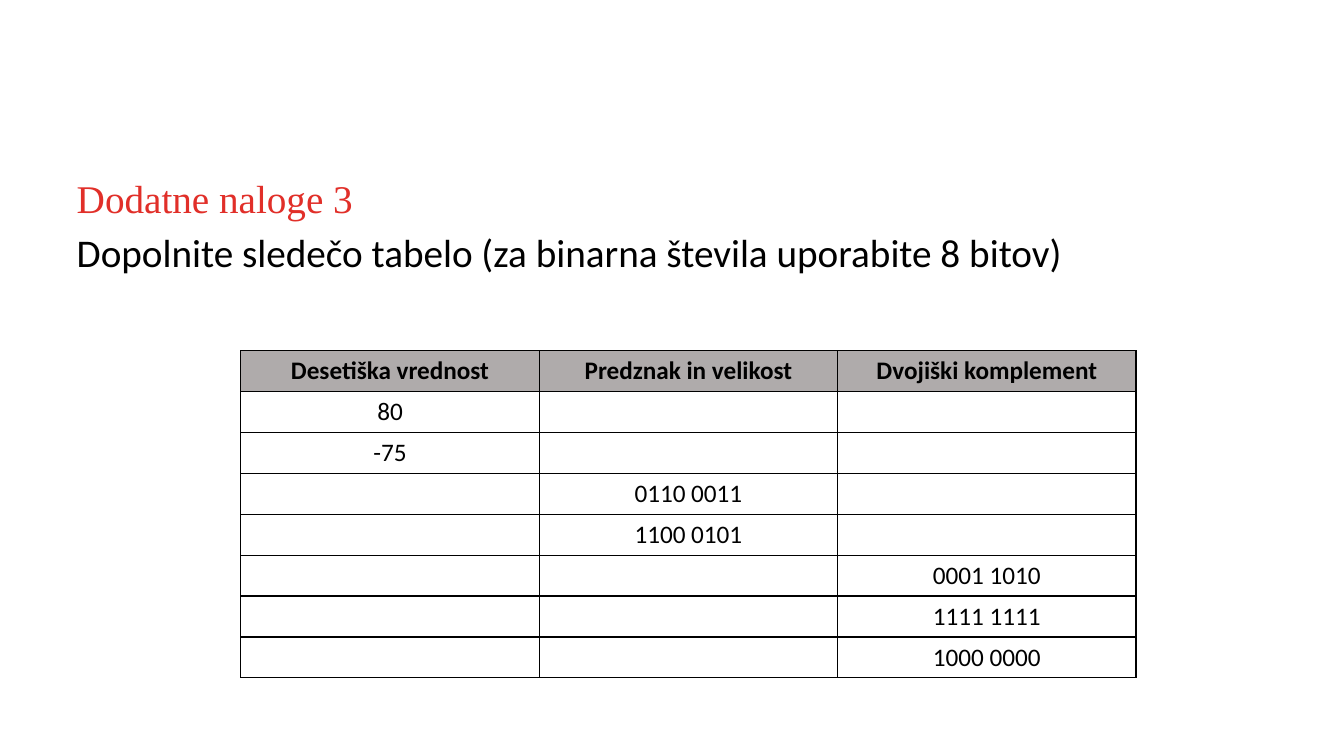
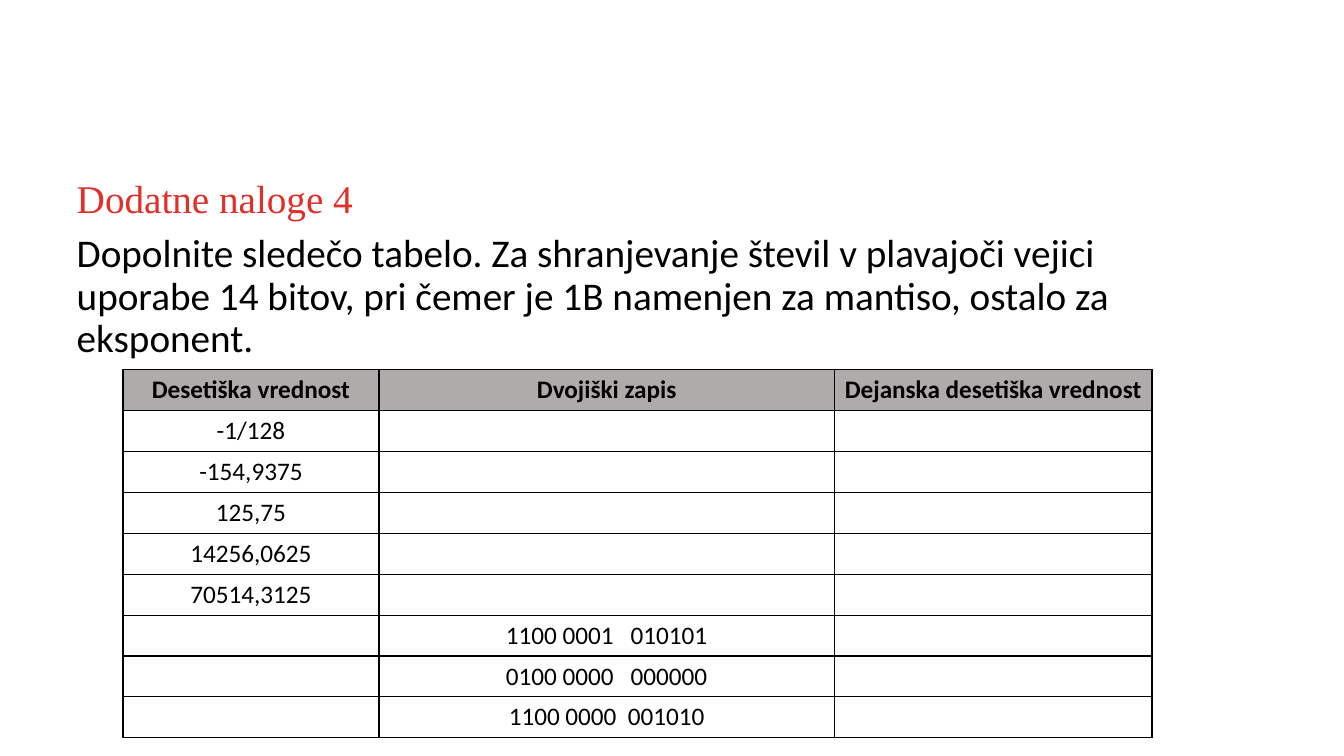
import dataclasses

import lxml.etree
import pptx
import pptx.dml.color
import pptx.enum.text
import pptx.oxml.ns
import pptx.util

Cm = pptx.util.Cm
Pt = pptx.util.Pt
Color = pptx.dml.color.RGBColor
Anchor = pptx.enum.text.MSO_ANCHOR
Align = pptx.enum.text.PP_ALIGN


@dataclasses.dataclass(frozen=True)
class Theme:
    title_font: str = "Times New Roman"
    body_font: str = "Calibri"
    title_color: str = "E12F29"
    text_color: str = "000000"
    header_fill: str = "AFABAB"
    border_color: str = "000000"
    border_width: int = Pt(1)
    text_size: int = Pt(28)
    table_size: int = Pt(18)
    line_spacing: float = 0.9
    paragraph_gap: int = Pt(10)
    text_left: int = Cm(1.68)
    text_width: int = Cm(28.73)
    title_top: int = Cm(4.37)
    title_height: int = Cm(1.37)
    body_top: int = Cm(5.77)
    body_height: int = Cm(11.71)
    row_height: int = Cm(1.03)


THEME = Theme()


def add_run(paragraph, text, font_name, size, color, bold=False):
    run = paragraph.add_run()
    run.text = text
    run.font.name = font_name
    run.font.size = size
    run.font.bold = bold
    run.font.color.rgb = Color.from_string(color)


def prepare_placeholder(shape, top, height, anchor):
    shape.left, shape.top = THEME.text_left, top
    shape.width, shape.height = THEME.text_width, height
    frame = shape.text_frame
    frame.word_wrap = True
    frame.auto_size = pptx.enum.text.MSO_AUTO_SIZE.NONE
    frame.vertical_anchor = anchor
    paragraph = frame.paragraphs[0]
    paragraph.alignment = Align.LEFT
    paragraph.line_spacing = THEME.line_spacing
    return paragraph


def fill_title(slide, text):
    paragraph = prepare_placeholder(
        slide.shapes.title, THEME.title_top, THEME.title_height, Anchor.MIDDLE)
    add_run(paragraph, text, THEME.title_font, THEME.text_size, THEME.title_color)


def fill_body(slide, text):
    paragraph = prepare_placeholder(
        slide.placeholders[1], THEME.body_top, THEME.body_height, Anchor.TOP)
    paragraph.space_before = THEME.paragraph_gap
    properties = paragraph._p.get_or_add_pPr()
    properties.set("marL", "0")
    properties.set("indent", "0")
    lxml.etree.SubElement(properties, pptx.oxml.ns.qn("a:buNone"))
    add_run(paragraph, text, THEME.body_font, THEME.text_size, THEME.text_color)


def add_borders(cell):
    qn = pptx.oxml.ns.qn
    properties = cell._tc.get_or_add_tcPr()
    for side in ("L", "R", "T", "B"):
        line = lxml.etree.SubElement(
            properties, qn(f"a:ln{side}"), w=str(THEME.border_width))
        fill = lxml.etree.SubElement(line, qn("a:solidFill"))
        lxml.etree.SubElement(fill, qn("a:srgbClr"), val=THEME.border_color)


def format_cell(cell, text, is_header):
    add_borders(cell)
    if is_header:
        cell.fill.solid()
        cell.fill.fore_color.rgb = Color.from_string(THEME.header_fill)
    else:
        cell.fill.background()
    cell.vertical_anchor = Anchor.MIDDLE
    paragraph = cell.text_frame.paragraphs[0]
    paragraph.alignment = Align.CENTER
    if text:
        add_run(paragraph, text, THEME.body_font, THEME.table_size,
                THEME.text_color, is_header)
    else:
        paragraph.font.size = THEME.table_size


def add_exercise_table(slide, left, top, column_widths, headers, given_values):
    rows = [headers]
    for column, values in enumerate(given_values):
        for value in values:
            rows.append([value if index == column else ""
                         for index in range(len(headers))])
    table = slide.shapes.add_table(
        len(rows), len(headers), left, top,
        sum(column_widths), THEME.row_height * len(rows)).table
    table.first_row = False
    table.horz_banding = False
    for column, width in zip(table.columns, column_widths):
        column.width = width
    for row_index, texts in enumerate(rows):
        table.rows[row_index].height = THEME.row_height
        for column_index, text in enumerate(texts):
            format_cell(table.cell(row_index, column_index), text, row_index == 0)


def add_exercise(presentation, title, task, **table):
    slide = presentation.slides.add_slide(presentation.slide_layouts[1])
    fill_title(slide, title)
    fill_body(slide, task)
    add_exercise_table(slide, **table)


def main():
    presentation = pptx.Presentation()
    presentation.slide_width = Cm(33.87)
    presentation.slide_height = Cm(19.05)
    add_exercise(
        presentation,
        "Dodatne naloge 3",
        "Dopolnite sledečo tabelo (za binarna števila uporabite 8 bitov)",
        left=Cm(6.07), top=Cm(8.84),
        column_widths=[Cm(7.52)] * 3,
        headers=["Desetiška vrednost", "Predznak in velikost", "Dvojiški komplement"],
        given_values=[
            ["80", "-75"],
            ["0110 0011", "1100 0101"],
            ["0001 1010", "1111 1111", "1000 0000"],
        ],
    )
    add_exercise(
        presentation,
        "Dodatne naloge 4",
        "Dopolnite sledečo tabelo. Za shranjevanje števil v plavajoči vejici "
        "uporabe 14 bitov, pri čemer je 1B namenjen za mantiso, ostalo za eksponent.",
        left=Cm(3.1), top=Cm(9.32),
        column_widths=[Cm(6.45), Cm(11.48), Cm(8)],
        headers=["Desetiška vrednost", "Dvojiški zapis", "Dejanska desetiška vrednost"],
        given_values=[
            ["-1/128", "-154,9375", "125,75", "14256,0625", "70514,3125"],
            ["1100 0001   010101", "0100 0000   000000", "1100 0000  001010"],
        ],
    )
    presentation.save("out.pptx")


if __name__ == "__main__":
    main()
